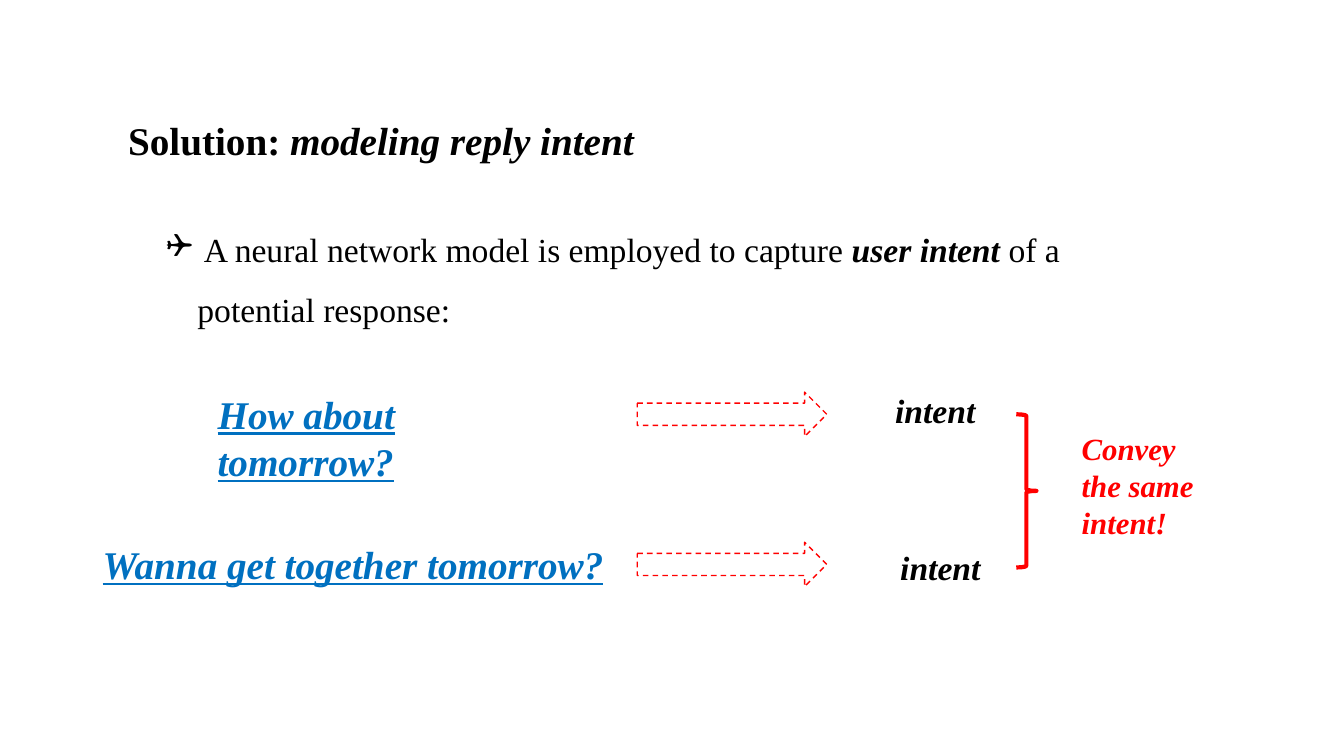
from lxml import etree
from pptx import Presentation
from pptx.dml.color import RGBColor
from pptx.enum.dml import MSO_LINE
from pptx.enum.shapes import MSO_SHAPE as SHAPE
from pptx.enum.text import MSO_ANCHOR as ANCHOR, MSO_AUTO_SIZE as AUTO, PP_ALIGN as ALIGN
from pptx.oxml.ns import qn
from pptx.util import Inches, Pt

COLORS = {"black": "000000", "blue": "0070C0", "red": "FF0000", "white": "FFFFFF"}
FONT = "Times New Roman"

deck = Presentation()
deck.slide_width, deck.slide_height = Inches(13.33), Inches(7.5)
page = deck.slides.add_slide(deck.slide_layouts[5])


def write(box, spans, size, color="black", wrap=True, spacing=1.0):
    """Fill a box with one paragraph; each span is (text, style letters b, i, u)."""
    frame = box.text_frame
    frame.word_wrap = wrap
    frame.auto_size = AUTO.SHAPE_TO_FIT_TEXT
    frame.vertical_anchor = ANCHOR.TOP
    para = frame.paragraphs[0]
    para.alignment = ALIGN.LEFT
    para.line_spacing = spacing
    for text, style in spans:
        span = para.add_run()
        span.text = text
        font = span.font
        font.name, font.size = FONT, Pt(size)
        font.bold, font.italic, font.underline = "b" in style, "i" in style, "u" in style
        font.color.rgb = RGBColor.from_string(COLORS[color])
    return para


def add_text(left, top, width, height, spans, size, **options):
    box = page.shapes.add_textbox(Inches(left), Inches(top), Inches(width), Inches(height))
    return write(box, spans, size, **options)


# Title
title = page.shapes.title
title.left, title.top = Inches(0.67), Inches(0.64)
title.width, title.height = Inches(5.78), Inches(0.9)
heading = write(title, [("Solution: ", "b"), ("modeling reply intent", "bi")], 28,
                wrap=False, spacing=2.0)
heading._p.get_or_add_pPr().set("marL", str(Inches(0.5)))

# Bulleted statement
statement = add_text(1.55, 2.02, 9.43, 1.24, [
    (" A neural network model is employed to capture ", ""),
    ("user intent ", "bi"),
    ("of a potential response:", ""),
], 24, spacing=1.5)
properties = statement._p.get_or_add_pPr()
properties.set("marL", str(Inches(0.31)))
properties.set("indent", str(-Inches(0.31)))
etree.SubElement(properties, qn("a:buFont"), typeface="Wingdings")
etree.SubElement(properties, qn("a:buChar"), char="❑")

# Replies, each with an arrow to its intent
replies = [
    ("How about tomorrow?", 2.06, 3.82, 3.8, 8.78, 3.82),
    ("Wanna get together tomorrow?", 0.92, 5.31, 5.22, 8.83, 5.38),
]
for reply, left, top, width, intent_left, intent_top in replies:
    add_text(left, top, width, 0.57, [(reply, "biu")], 28, color="blue", wrap=False)
    arrow = page.shapes.add_shape(SHAPE.RIGHT_ARROW, Inches(6.32), Inches(top + 0.07),
                                  Inches(1.88), Inches(0.44))
    arrow.shadow.inherit = False
    arrow.fill.solid()
    arrow.fill.fore_color.rgb = RGBColor.from_string(COLORS["white"])
    arrow.line.color.rgb = RGBColor.from_string(COLORS["red"])
    arrow.line.width = Pt(1)
    arrow.line.dash_style = MSO_LINE.DASH
    add_text(intent_left, intent_top, 1.59, 0.5, [("intent", "bi")], 24)

# Brace and conclusion
brace = page.shapes.add_shape(SHAPE.RIGHT_BRACE, Inches(10.08), Inches(4.11),
                              Inches(0.2), Inches(1.52))
brace.shadow.inherit = False
brace.fill.background()
brace.line.color.rgb = RGBColor.from_string(COLORS["red"])
brace.line.width = Pt(3)
add_text(10.63, 4.21, 1.59, 1.21, [("Convey the same intent!", "bi")], 22, color="red")

deck.save("out.pptx")
